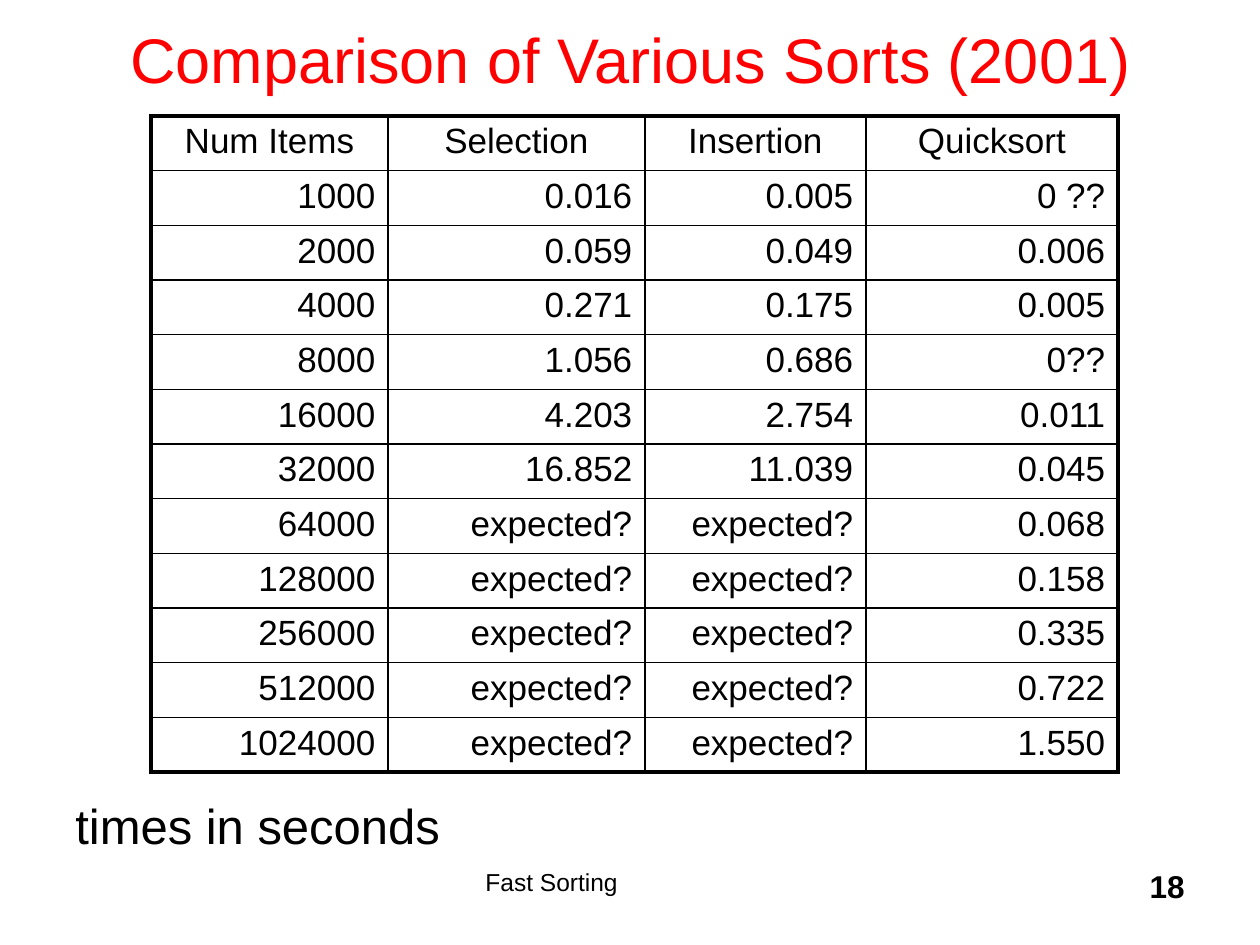
from pptx import Presentation
from pptx.dml.color import RGBColor
from pptx.enum.text import MSO_ANCHOR, PP_ALIGN
from pptx.oxml.ns import qn
from pptx.util import Pt
from lxml import etree

LEFT, CENTER, RIGHT = PP_ALIGN.LEFT, PP_ALIGN.CENTER, PP_ALIGN.RIGHT
MIDDLE = MSO_ANCHOR.MIDDLE
EMU_PER_PX = 914400 // 126
FONT = "Arial"
COLORS = {"title": "FF0000", "text": "000000", "border": "000000"}
INNER_LINE, OUTER_LINE = 1, 2.25

COLUMN_WIDTHS = [237, 257, 221, 252]
ROW_HEIGHT = 55
TABLE_HEIGHT = 656
HEADERS = ["Num Items", "Selection", "Insertion", "Quicksort"]
TIMINGS = [
    ("0.016", "0.005", "0 ??"),
    ("0.059", "0.049", "0.006"),
    ("0.271", "0.175", "0.005"),
    ("1.056", "0.686", "0??"),
    ("4.203", "2.754", "0.011"),
    ("16.852", "11.039", "0.045"),
    ("expected?", "expected?", "0.068"),
    ("expected?", "expected?", "0.158"),
    ("expected?", "expected?", "0.335"),
    ("expected?", "expected?", "0.722"),
    ("expected?", "expected?", "1.550"),
]


def px(length):
    return length * EMU_PER_PX


def write(frame, text, size, align=LEFT, color="text", bold=False):
    para = frame.paragraphs[0]
    para.text = text
    para.alignment = align
    para.font.name = FONT
    para.font.size = Pt(size)
    para.font.bold = bold
    para.font.color.rgb = RGBColor.from_string(COLORS[color])


def add_title(page, text):
    title = page.shapes.title
    title.left, title.top, title.width, title.height = map(px, (95, -21, 1071, 158))
    title.text_frame.vertical_anchor = MIDDLE
    write(title.text_frame, text, 36, CENTER, "title")


def add_label(page, bounds, text, size, align=LEFT, bold=False, wrap=True):
    box = page.shapes.add_textbox(*map(px, bounds))
    box.text_frame.word_wrap = wrap
    write(box.text_frame, text, size, align, bold=bold)


def set_border(cell, side, width):
    """Draw one side (L, R, T or B) of a cell; width is in points."""
    properties = cell._tc.get_or_add_tcPr()
    line = etree.SubElement(properties, qn(f"a:ln{side}"), w=str(Pt(width)))
    fill = etree.SubElement(line, qn("a:solidFill"))
    etree.SubElement(fill, qn("a:srgbClr"), val=COLORS["border"])


def add_timing_table(page):
    rows = [HEADERS] + [(str(1000 * 2**step), *times) for step, times in enumerate(TIMINGS)]
    last_row, last_column = len(rows) - 1, len(HEADERS) - 1
    frame = page.shapes.add_table(
        len(rows), len(HEADERS), px(151), px(116), px(sum(COLUMN_WIDTHS)), px(TABLE_HEIGHT)
    )
    table = frame.table
    table.first_row = table.horz_banding = False
    for column, width in zip(table.columns, COLUMN_WIDTHS):
        column.width = px(width)
    for r, values in enumerate(rows):
        table.rows[r].height = px(TABLE_HEIGHT) // len(rows)
        for c, value in enumerate(values):
            cell = table.cell(r, c)
            write(cell.text_frame, value, 20, RIGHT if r else CENTER)
            outer_sides = {"L": c == 0, "R": c == last_column, "T": r == 0, "B": r == last_row}
            for side, is_outer in outer_sides.items():
                set_border(cell, side, OUTER_LINE if is_outer else INNER_LINE)
            cell.fill.background()


def main():
    deck = Presentation()
    deck.slide_width, deck.slide_height = px(1260), px(945)
    page = deck.slides.add_slide(deck.slide_layouts[5])
    add_label(page, (473, 861, 420, 63), "Fast Sorting", 14)
    add_label(page, (935, 861, 262, 63), "18", 18, RIGHT, bold=True)
    add_title(page, "Comparison of Various Sorts (2001)")
    add_timing_table(page)
    add_label(page, (63, 789, 394, 72), "times in seconds", 28, wrap=False)
    deck.save("out.pptx")


if __name__ == "__main__":
    main()
